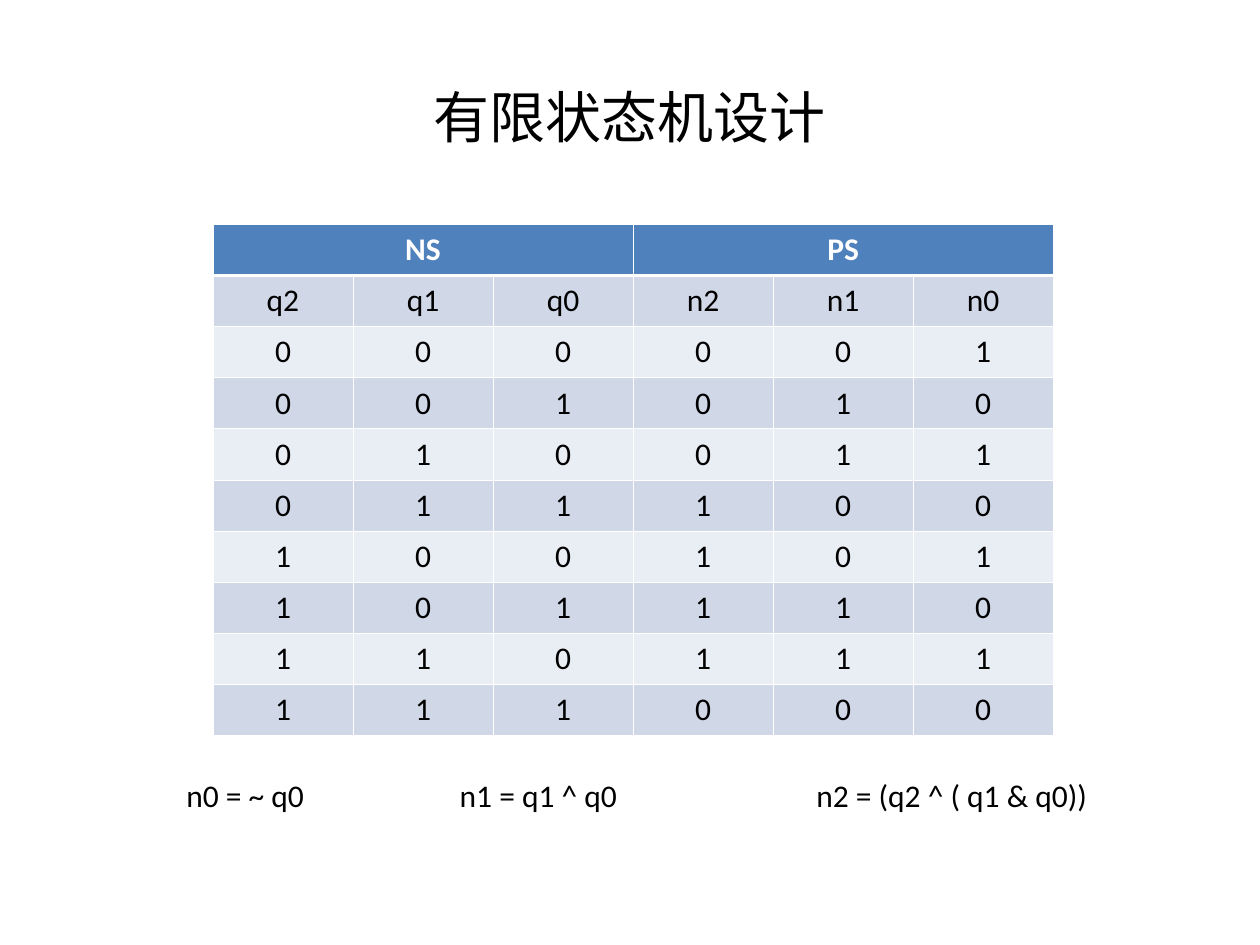
"""Build the finite state machine slide with its state table and next-state equations."""
import pptx
import pptx.dml.color
import pptx.enum.text
import pptx.oxml
import pptx.oxml.ns
import pptx.util
from pptx.util import Inches

HEADING = "有限状态机设计"
GROUPS = ["NS", "PS"]
SIGNALS = ["q2", "q1", "q0", "n2", "n1", "n0"]
TRANSITIONS = ["000001", "001010", "010011", "011100",
               "100101", "101110", "110111", "111000"]
EQUATIONS = ["n0 = ~ q0", "n1 = q1 ^ q0", "n2 = (q2 ^ ( q1 & q0))"]
EQUATION_STOPS = [2.17, 5]

THEME = {
    "font": "Calibri", "title_size": 32, "body_size": 18,
    "text": "000000", "header_text": "FFFFFF", "header_fill": "4F81BD",
    "bands": ["D0D8E8", "E9EDF4"],
    "border": "FFFFFF", "thin": 0.45, "thick": 1.5,
}


def rgb(color):
    return pptx.dml.color.RGBColor.from_string(color)


def style(paragraph, size, color, bold=False):
    font = paragraph.font
    font.name, font.size, font.bold = THEME["font"], pptx.util.Pt(size), bold
    font.color.rgb = rgb(color)


def add_borders(cell, widths):
    for side, width in widths.items():
        cell._tc.get_or_add_tcPr().append(pptx.oxml.parse_xml(
            f'<a:ln{side} {pptx.oxml.ns.nsdecls("a")} w="{pptx.util.Pt(width)}"><a:solidFill>'
            f'<a:srgbClr val="{THEME["border"]}"/></a:solidFill></a:ln{side}>'))


def add_state_table(slide):
    span = len(SIGNALS) // len(GROUPS)
    header = [name for group in GROUPS for name in [group] + [""] * (span - 1)]
    rows = [header, SIGNALS, *TRANSITIONS]
    table = slide.shapes.add_table(len(rows), len(SIGNALS), Inches(1.69), Inches(1.78),
                                   Inches(6.67), Inches(4.06)).table
    for row, values in enumerate(rows):
        is_header = row == 0
        fill = THEME["header_fill"] if is_header else THEME["bands"][(row - 1) % 2]
        color = THEME["header_text"] if is_header else THEME["text"]
        widths = {"L": THEME["thin"], "R": THEME["thin"],
                  "T": THEME["thick" if row == 1 else "thin"],
                  "B": THEME["thick" if is_header else "thin"]}
        for column, value in enumerate(values):
            cell = table.cell(row, column)
            add_borders(cell, widths)
            cell.fill.solid()
            cell.fill.fore_color.rgb = rgb(fill)
            cell.text = value
            label = cell.text_frame.paragraphs[0]
            label.alignment = pptx.enum.text.PP_ALIGN.CENTER
            style(label, THEME["body_size"], color, is_header)
    for start in range(0, len(SIGNALS), span):
        table.cell(0, start).merge(table.cell(0, start + span - 1))


def add_equations(slide):
    frame = slide.shapes.add_textbox(Inches(1.38), Inches(6.11),
                                     Inches(7.72), Inches(0.4)).text_frame
    frame.word_wrap = True
    frame.auto_size = pptx.enum.text.MSO_AUTO_SIZE.SHAPE_TO_FIT_TEXT
    equations = frame.paragraphs[0]
    equations.text = "\t".join(EQUATIONS)
    stops = "".join(f'<a:tab pos="{Inches(stop)}" algn="l"/>' for stop in EQUATION_STOPS)
    equations._p.get_or_add_pPr().append(pptx.oxml.parse_xml(
        f'<a:tabLst {pptx.oxml.ns.nsdecls("a")}>{stops}</a:tabLst>'))
    style(equations, THEME["body_size"], THEME["text"])


def main():
    deck = pptx.Presentation()
    deck.slide_width, deck.slide_height = Inches(10), Inches(7.5)
    slide = deck.slides.add_slide(deck.slide_layouts[5])
    title = slide.shapes.title
    title.left, title.top, title.width, title.height = map(Inches, (0.5, 0.3, 9, 1.25))
    title.text_frame.text = HEADING
    heading = title.text_frame.paragraphs[0]
    heading.alignment = pptx.enum.text.PP_ALIGN.CENTER
    style(heading, THEME["title_size"], THEME["text"])
    add_state_table(slide)
    add_equations(slide)
    deck.save("out.pptx")


if __name__ == "__main__":
    main()
